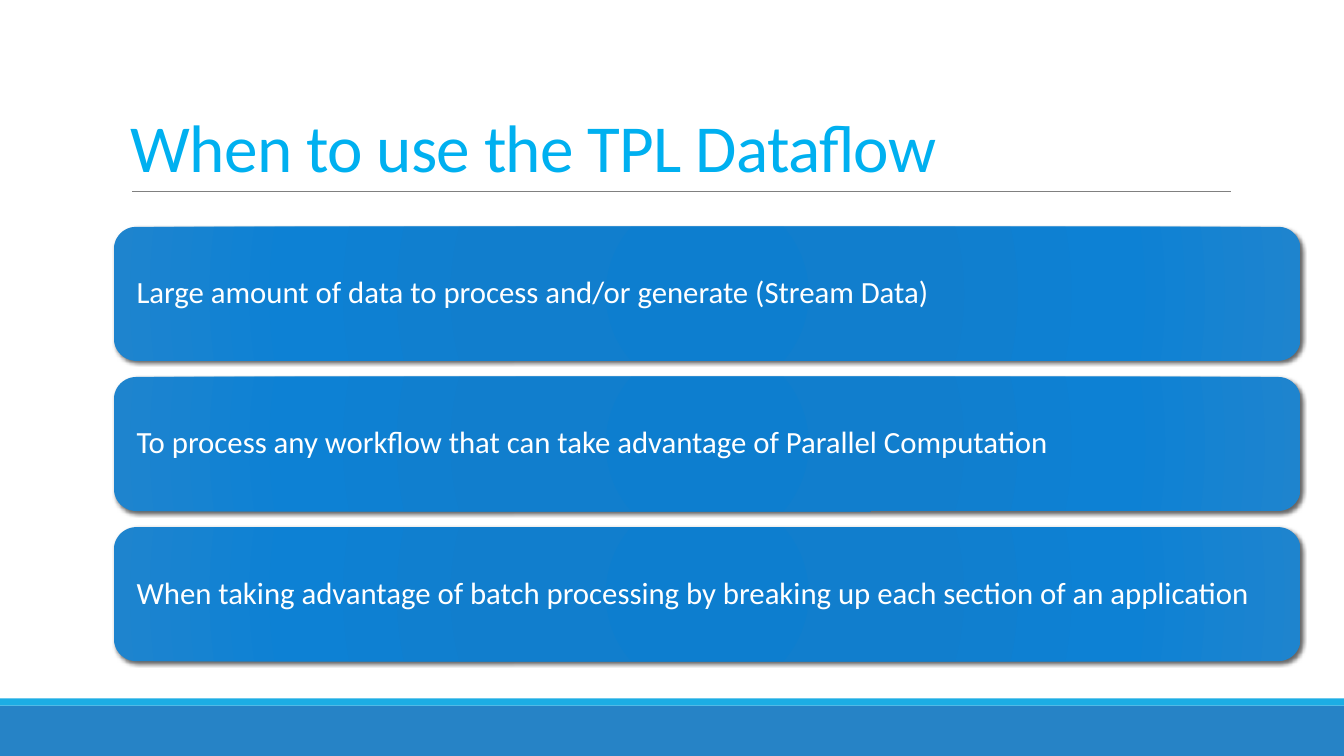
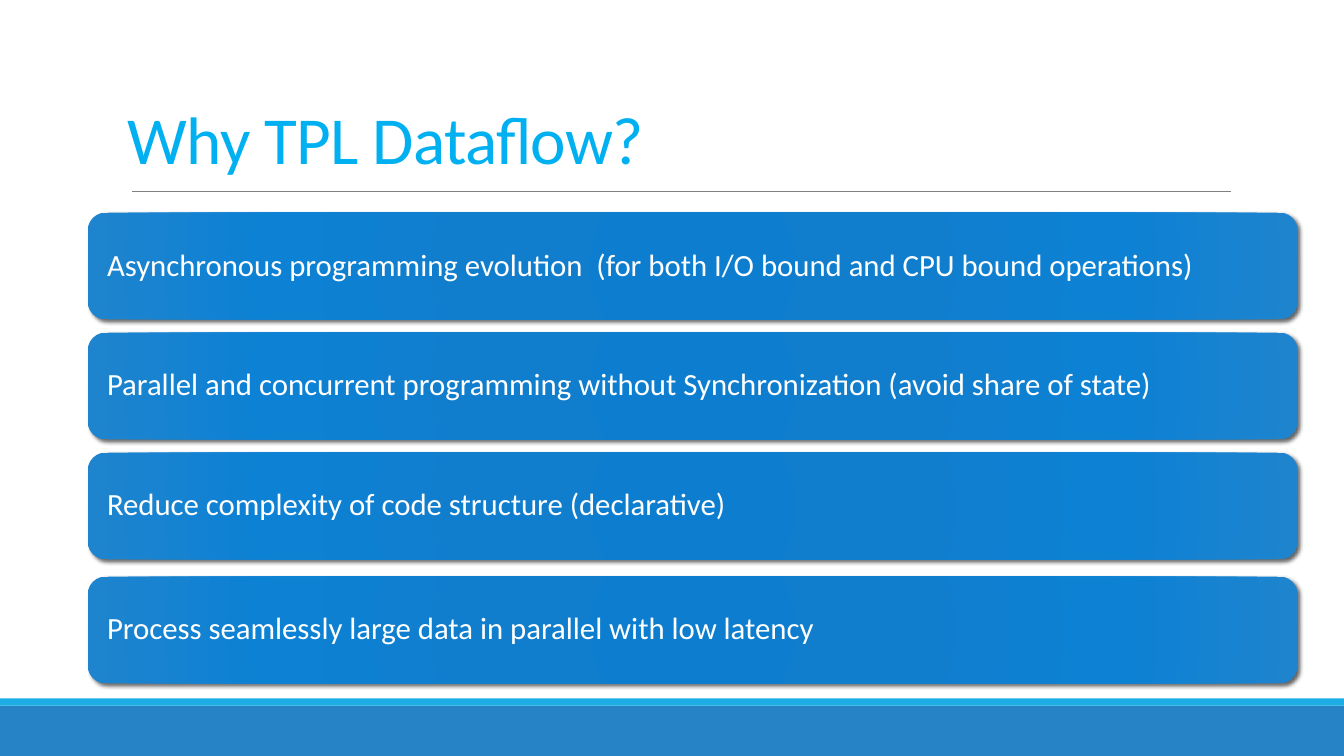
from lxml.etree import SubElement
from pptx import Presentation
from pptx.dml.color import RGBColor
from pptx.enum.shapes import MSO_CONNECTOR, MSO_SHAPE
from pptx.enum.text import MSO_ANCHOR, PP_ALIGN
from pptx.oxml.ns import qn
from pptx.util import Emu, Pt

PX = 9144  # 100 px to the inch
PAGE_WIDTH, PAGE_HEIGHT = 1333, 750
FONT = "Calibri"
TITLE_COLOR = "00B0F0"
RULE_COLOR = "808080"
FOOTER_COLOR = "2683C6"
STRIPE_COLOR = "1CADE4"
TEXT_COLOR = "FFFFFF"
BAR_STOPS = ((0, "0D7ECF"), (34, "117ECD"), (70, "0D81D4"), (100, "1E84CE"))


def px(length):
    return Emu(length * PX)


def color(hex_text):
    return RGBColor.from_string(hex_text)


def add_node(parent, tag, **attributes):
    return SubElement(parent, qn(tag), attributes)


def format_text(paragraph, size, hex_text, line_spacing):
    paragraph.alignment = PP_ALIGN.LEFT
    paragraph.line_spacing = line_spacing
    for span in paragraph.runs:
        span.font.name = FONT
        span.font.size = Pt(size)
        span.font.color.rgb = color(hex_text)


def add_band(page, top, height, hex_text):
    band = page.shapes.add_shape(
        MSO_SHAPE.RECTANGLE, 0, px(top), px(PAGE_WIDTH), px(height))
    band.shadow.inherit = False
    band.fill.solid()
    band.fill.fore_color.rgb = color(hex_text)
    band.line.fill.background()


def add_title_rule(page):
    rule = page.shapes.add_connector(
        MSO_CONNECTOR.STRAIGHT, px(131), px(190), px(1221), px(190))
    rule.line.color.rgb = color(RULE_COLOR)
    rule.line.width = Pt(0.5)
    add_node(rule._element.spPr, "a:effectLst")


def add_title(page, left, top, text):
    box = page.shapes.add_textbox(px(left), px(top), px(1100), px(159))
    frame = box.text_frame
    frame.word_wrap = True
    frame.vertical_anchor = MSO_ANCHOR.BOTTOM
    frame.text = text
    paragraph = frame.paragraphs[0]
    format_text(paragraph, 48, TITLE_COLOR, 0.85)
    paragraph.runs[0]._r.get_or_add_rPr().set("spc", "-50")


def fill_radial(shape):
    """Give the shape the circular gradient of the bars."""
    properties = shape._element.spPr
    gradient = add_node(properties, "a:gradFill", rotWithShape="1")
    stops = add_node(gradient, "a:gsLst")
    for position, hex_text in BAR_STOPS:
        stop = add_node(stops, "a:gs", pos=str(position * 1000))
        add_node(stop, "a:srgbClr", val=hex_text)
    circle = add_node(gradient, "a:path", path="circle")
    add_node(circle, "a:fillToRect", l="100000", t="100000", r="100000", b="100000")
    properties.find(qn("a:prstGeom")).addnext(gradient)


def add_drop_shadow(shape):
    shape.shadow.inherit = False
    effects = shape._element.spPr.find(qn("a:effectLst"))
    shadow = add_node(effects, "a:outerShdw", blurRad="38100", dist="25400",
                      dir="2700000", algn="ctr", rotWithShape="0")
    shade = add_node(shadow, "a:srgbClr", val="000000")
    add_node(shade, "a:alpha", val="60000")


def add_bar(page, left, top, width, height, inset, text):
    bar = page.shapes.add_shape(
        MSO_SHAPE.ROUNDED_RECTANGLE, px(left), px(top), px(width), px(height))
    bar.line.fill.background()
    fill_radial(bar)
    add_drop_shadow(bar)
    frame = bar.text_frame
    frame.word_wrap = True
    frame.vertical_anchor = MSO_ANCHOR.MIDDLE
    frame.margin_left = frame.margin_right = px(inset)
    frame.text = text
    format_text(frame.paragraphs[0], 22, TEXT_COLOR, 0.9)


def add_page(deck):
    """Add a blank page with the footer bands and the title rule."""
    page = deck.slides.add_slide(deck.slide_layouts[6])
    add_band(page, 700, 50, FOOTER_COLOR)
    add_band(page, 693, 7, STRIPE_COLOR)
    add_title_rule(page)
    return page


def build_when_page(deck):
    page = add_page(deck)
    add_title(page, 120, 31, "When to use the TPL Dataflow")
    reasons = (
        "Large amount of data to process and/or generate (Stream Data)",
        "To process any workflow that can take advantage of Parallel Computation",
        "When taking advantage of batch processing by breaking up each section of an application",
    )
    for index, text in enumerate(reasons):
        add_bar(page, 113, 225 + index * 149, 1177, 133, 16, text)


def build_why_page(deck):
    page = add_page(deck)
    add_title(page, 117, 23, "Why TPL Dataflow?")
    benefits = (
        (211, "Asynchronous programming evolution  (for both I/O bound and CPU bound operations)"),
        (330, "Parallel and concurrent programming without Synchronization (avoid share of state)"),
        (449, "Reduce complexity of code structure (declarative)"),
        (572, "Process seamlessly large data in parallel with low latency"),
    )
    for top, text in benefits:
        add_bar(page, 87, top, 1200, 106, 14, text)


def main():
    deck = Presentation()
    deck.slide_width, deck.slide_height = px(PAGE_WIDTH), px(PAGE_HEIGHT)
    build_when_page(deck)
    build_why_page(deck)
    deck.save("out.pptx")


if __name__ == "__main__":
    main()
